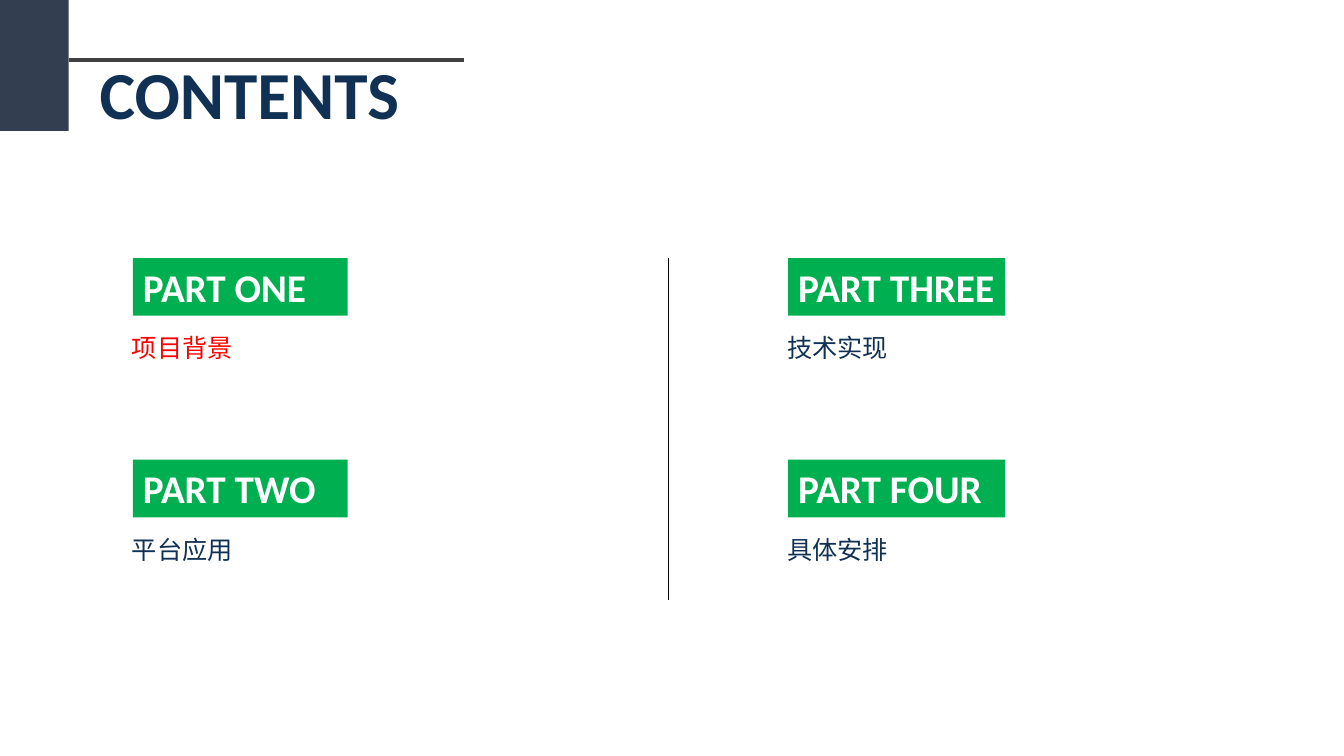
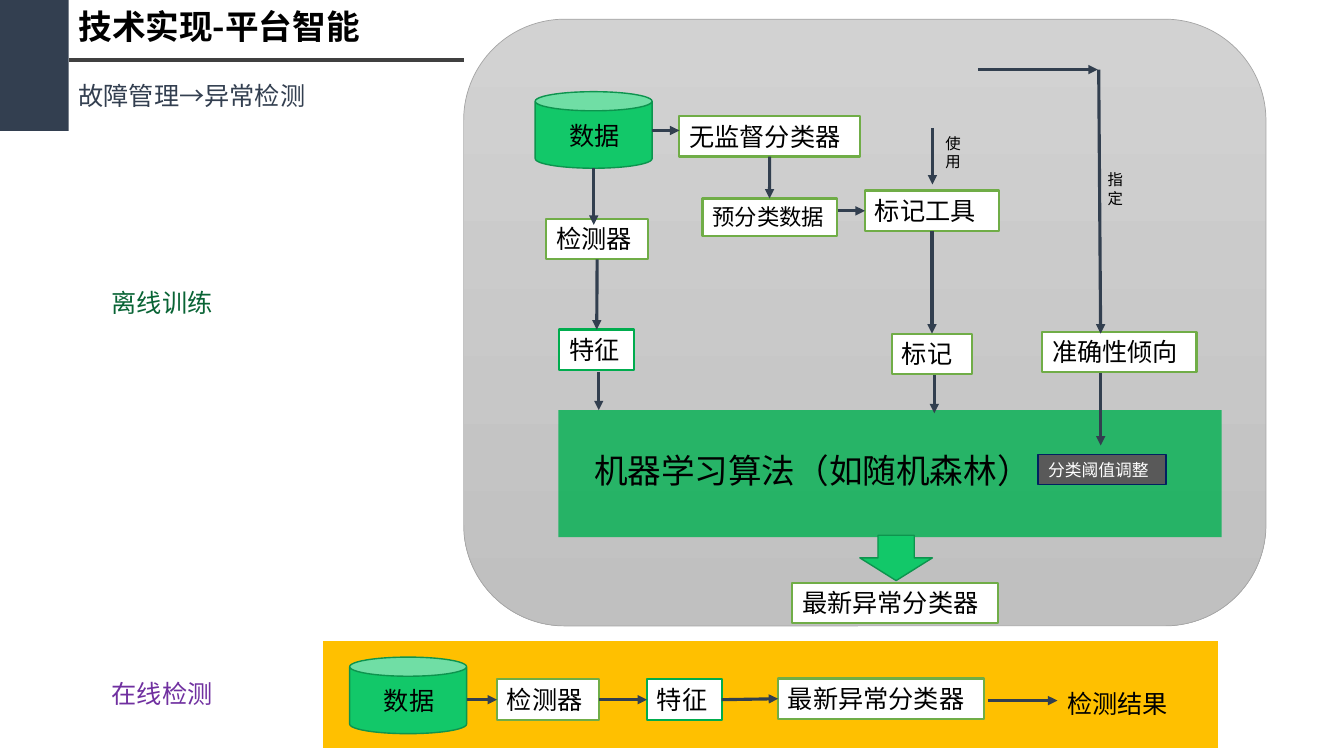
from dataclasses import dataclass

from lxml import etree
from pptx import Presentation
from pptx.dml.color import RGBColor
from pptx.enum.lang import MSO_LANGUAGE_ID
from pptx.enum.shapes import MSO_CONNECTOR, MSO_SHAPE
from pptx.enum.text import MSO_ANCHOR, MSO_AUTO_SIZE, PP_ALIGN
from pptx.oxml.ns import qn
from pptx.util import Pt

RECT = MSO_SHAPE.RECTANGLE
ROUNDED = MSO_SHAPE.ROUNDED_RECTANGLE
CAN = MSO_SHAPE.CAN
DOWN_ARROW = MSO_SHAPE.DOWN_ARROW
STRAIGHT = MSO_CONNECTOR.STRAIGHT
TOP_ANCHOR = MSO_ANCHOR.TOP
GROW = MSO_AUTO_SIZE.SHAPE_TO_FIT_TEXT
LEFT = PP_ALIGN.LEFT
CENTER = PP_ALIGN.CENTER
CHINESE = MSO_LANGUAGE_ID.SIMPLIFIED_CHINESE
TOP, LEFT_SIDE, BOTTOM, RIGHT_SIDE = range(4)


@dataclass(frozen=True)
class Theme:
    latin: str = "Calibri"
    chinese: str = "Noto Sans CJK SC"
    black: str = "000000"
    white: str = "FFFFFF"
    band: str = "333F50"
    rule: str = "404040"
    navy: str = "103154"
    highlight: str = "FF0000"
    green: str = "00B050"
    bright_green: str = "12C869"
    bright_edge: str = "0D944E"
    node_edge: str = "70AD47"
    feature_edge: str = "00AC4E"
    arrow: str = "323F4F"
    panel_top: str = "D2D2D2"
    panel_bottom: str = "C0C0C0"
    panel_edge: str = "A5A5A5"
    online_fill: str = "FFC000"
    online_text: str = "7030A0"
    offline_text: str = "096435"
    threshold_fill: str = "595959"
    threshold_edge: str = "002060"
    contents_size: int = 48
    part_size: int = 28
    heading_size: int = 24
    body_size: int = 18
    compact_size: int = 16
    small_size: int = 12
    note_size: int = 11


theme = Theme()


def add_box(page, kind, frame, text="", size=theme.body_size, color=theme.black,
            font=theme.latin, bold=False, fill=None, edge=None, edge_width=1.5):
    frame = [Pt(value) for value in frame]
    if kind is None:
        box = page.shapes.add_textbox(*frame)
    else:
        box = page.shapes.add_shape(kind, *frame)
        box.shadow.inherit = False
        if fill:
            box.fill.solid()
            box.fill.fore_color.rgb = RGBColor.from_string(fill)
        if edge:
            box.line.color.rgb = RGBColor.from_string(edge)
            box.line.width = Pt(edge_width)
        else:
            box.line.fill.background()
    if text:
        body = box.text_frame
        body.word_wrap = True
        body.auto_size = GROW
        body.vertical_anchor = TOP_ANCHOR
        para = body.paragraphs[0]
        para.alignment = LEFT
        span = para.add_run()
        span.text = text
        span.font.name = font
        span.font.size = Pt(size)
        span.font.bold = bold
        span.font.color.rgb = RGBColor.from_string(color)
        span.font.language_id = CHINESE
    return box


def add_line(page, start, end, color, width, arrow=False):
    line = page.shapes.add_connector(STRAIGHT, *[Pt(value) for value in (*start, *end)])
    line.line.color.rgb = RGBColor.from_string(color)
    line.line.width = Pt(width)
    properties = line.element.spPr
    etree.SubElement(properties, qn("a:effectLst"))
    if arrow:
        etree.SubElement(properties.find(qn("a:ln")), qn("a:tailEnd"), type="triangle")
    return line


deck = Presentation()
deck.slide_width, deck.slide_height = Pt(960), Pt(540)
contents, platform = [deck.slides.add_slide(deck.slide_layouts[6]) for _ in range(2)]
for page in (contents, platform):
    add_box(page, RECT, (0, 0, 49, 93.6), fill=theme.band)
    add_line(page, (49, 42.6), (331.2, 42.6), theme.rule, 3)

add_box(contents, None, (64, 33.8, 245, 65.5), "CONTENTS", theme.contents_size,
        theme.navy, bold=True)
add_line(contents, (477.5, 184.3), (477.5, 428.4), theme.black, 1)

parts = [
    ("PART ONE", "项目背景", theme.highlight),
    ("PART TWO", "平台应用", theme.navy),
    ("PART THREE", "技术实现", theme.navy),
    ("PART FOUR", "具体安排", theme.navy),
]
columns = [(95, 153.4), (563, 155)]
for index, (part, topic, color) in enumerate(parts):
    column, row = divmod(index, 2)
    left, width = columns[column]
    top = 184.3 + row * 144
    add_box(contents, RECT, (left, top, width, 41.2), part, theme.part_size,
            theme.white, bold=True, fill=theme.green)
    label = add_box(contents, None, (left - 7.9, top + 43.2, 327, 33.1), topic,
                    color=color, font=theme.chinese)
    label.text_frame.paragraphs[0].line_spacing = 1.3

add_box(platform, None, (49, 0.7, 295, 36.4), "技术实现-平台智能", theme.heading_size,
        font=theme.chinese, bold=True)
add_box(platform, None, (49, 54, 310, 29), "故障管理→异常检测", color=theme.band)
add_box(platform, None, (72.7, 201.6, 91.4, 29), "离线训练", color=theme.offline_text)
add_box(platform, None, (72.7, 481, 91.4, 29), "在线检测", color=theme.online_text)

add_box(platform, RECT, (229.7, 457.2, 640.8, 77.8), fill=theme.online_fill,
        edge=theme.white)
panel = add_box(platform, ROUNDED, (331.2, 13.7, 573.1, 433.4),
                edge=theme.panel_edge, edge_width=0.5)
panel.fill.gradient()
panel.fill.gradient_angle = 270
for stop, color in zip(panel.fill.gradient_stops, (theme.panel_top, theme.panel_bottom)):
    stop.color.rgb = RGBColor.from_string(color)

for left, top in ((249.8, 469.4), (382.3, 65.5)):
    add_box(platform, CAN, (left, top, 83.5, 54.7), fill=theme.bright_green,
            edge=theme.bright_edge, edge_width=1)
    add_box(platform, None, (left + 17.3, top + 16.6, 57, 29), "数据")

algorithm = add_box(platform, RECT, (398.9, 293, 473.8, 90.7), fill=theme.green)
fill_color = algorithm.element.spPr.find(".//" + qn("a:srgbClr"))
etree.SubElement(fill_color, qn("a:alpha"), val="80000")
caption = add_box(platform, None, (385.9, 318.2, 388.8, 36.4),
                  "机器学习算法（如随机森林）", theme.heading_size)
caption.text_frame.paragraphs[0].alignment = CENTER
add_box(platform, RECT, (741.6, 324.7, 91.4, 21.6), "分类阈值调整", theme.small_size,
        theme.white, fill=theme.threshold_fill, edge=theme.threshold_edge, edge_width=1)
add_box(platform, DOWN_ARROW, (614.2, 382.3, 51.8, 32.4), fill=theme.bright_green,
        edge=theme.bright_edge, edge_width=1)

node_rows = [
    ("detector", "检测器", 390.2, 156.2, 72.7),
    ("feature", "特征", 399.6, 235.4, 53.3),
    ("unsupervised", "无监督分类器", 485.3, 82.8, 128.9),
    ("presorted", "预分类数据", 501.8, 141.8, 95.8),
    ("label tool", "标记工具", 617.8, 136.1, 95.8),
    ("label", "标记", 637.2, 238.3, 57),
    ("preference", "准确性倾向", 744.5, 236.9, 110.2),
    ("latest", "最新异常分类器", 565.9, 416.2, 146.9),
    ("online detector", "检测器", 355, 485.3, 72.7),
    ("online feature", "特征", 462.2, 485.3, 53.3),
    ("online latest", "最新异常分类器", 555.8, 484.6, 146.9),
]
nodes = {}
for name, text, left, top, width in node_rows:
    compact = name == "presorted"
    nodes[name] = add_box(
        platform, RECT, (left, top, width, 26.6 if compact else 29), text,
        theme.compact_size if compact else theme.body_size, fill=theme.white,
        edge=theme.feature_edge if text == "特征" else theme.node_edge)

add_box(platform, None, (755.3, 488.2, 100, 29), "检测结果")
for text, left, top in (("使用", 668.2, 92.2), ("指定", 784.1, 118.1)):
    add_box(platform, None, (left, top, 21.6, 33.8), text, theme.note_size)

arrows = [
    ((424.1, 120.2), (424.1, 160.6)),
    ((465.8, 93.2), (485.3, 93.2)),
    ((427.7, 265.7), (427.7, 293)),
    ((667.4, 267.8), (667.4, 295.2)),
    ((786.2, 266.4), (786.2, 318.2)),
    ((666, 91.4), (666, 131.8)),
    ((698.4, 49.7), (784.1, 49.7)),
    ((784.8, 49.7), (786.2, 238.3)),
    ((705.6, 500.4), (755.3, 500.4)),
    ((333.4, 499.8), ("online detector", LEFT_SIDE)),
    ((598.3, 150.6), ("label tool", LEFT_SIDE)),
    (("detector", BOTTOM), ("feature", TOP)),
    (("unsupervised", BOTTOM), ("presorted", TOP)),
    (("label tool", BOTTOM), ("label", TOP)),
    (("online detector", RIGHT_SIDE), ("online feature", LEFT_SIDE)),
    (("online feature", RIGHT_SIDE), ("online latest", LEFT_SIDE)),
]
for start, end in arrows:
    starts_at_node, ends_at_node = start[0] in nodes, end[0] in nodes
    first = (0, 0) if starts_at_node else start
    last = first if ends_at_node else end
    arrow = add_line(platform, first, last, theme.arrow, 2.25, arrow=True)
    if starts_at_node:
        arrow.begin_connect(nodes[start[0]], start[1])
    if ends_at_node:
        arrow.end_connect(nodes[end[0]], end[1])

deck.save("out.pptx")
